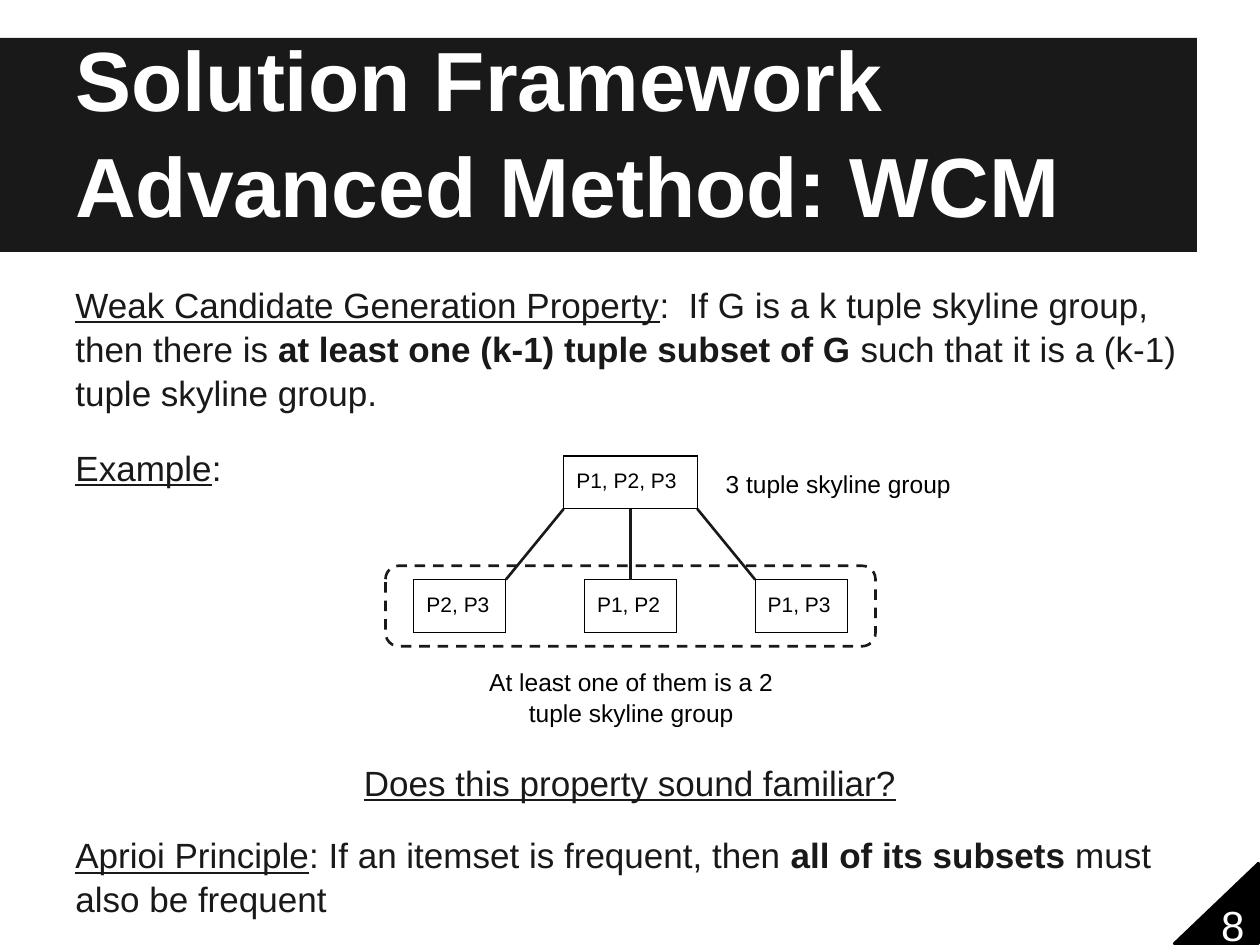
from pptx import Presentation
from pptx.dml.color import RGBColor
from pptx.enum.dml import MSO_LINE
from pptx.enum.shapes import MSO_CONNECTOR as Connector, MSO_SHAPE as Shape
from pptx.enum.text import MSO_ANCHOR as Anchor, PP_ALIGN as Align
from pptx.oxml import parse_xml
from pptx.oxml.ns import nsdecls
from pptx.util import Pt

FONT = "Arial"
DARK, BLACK, WHITE = "191919", "000000", "FFFFFF"
INSET = 7.2
UNDERLINE, BOLD = {"underline": True}, {"bold": True}


def color(value):
    return RGBColor.from_string(value)


def write_para(para, spans, size, ink, align=Align.LEFT):
    """Fill a paragraph from (text, format values) pairs."""
    para.alignment = align
    para.line_spacing = 1.05
    for text, formats in spans:
        span = para.add_run()
        span.text = text
        span.font.color.rgb = color(ink)
        for name, value in {"name": FONT, "size": Pt(size), **formats}.items():
            setattr(span.font, name, value)


def add_text(page, box, paras, size, ink=DARK, align=Align.LEFT, anchor=Anchor.MIDDLE):
    frame = page.shapes.add_textbox(*map(Pt, box)).text_frame
    frame.word_wrap = True
    frame.vertical_anchor = anchor
    for side in ("left", "top", "right", "bottom"):
        setattr(frame, f"margin_{side}", Pt(INSET))
    for index, spans in enumerate(paras):
        para = frame.add_paragraph() if index else frame.paragraphs[0]
        write_para(para, spans, size, ink, align)


def add_panel(page, kind, box, fill=None, line=None):
    panel = page.shapes.add_shape(kind, *map(Pt, box))
    panel.shadow.inherit = False
    if fill:
        panel.fill.solid()
        panel.fill.fore_color.rgb = color(fill)
    else:
        panel.fill.background()
    if line:
        panel.line.color.rgb = color(line)
        panel.line.width = Pt(1.5)
    else:
        panel.line.fill.background()
    return panel


def add_line(page, start, end):
    line = page.shapes.add_connector(Connector.STRAIGHT, *map(Pt, start + end))
    line.line.color.rgb = color(DARK)
    line.line.width = Pt(1.5)
    line._element.spPr.append(parse_xml(f"<a:effectLst {nsdecls('a')}/>"))


def add_group_cell(page, box, label):
    """Place a bordered one-cell table."""
    table = page.shapes.add_table(1, 1, *map(Pt, box)).table
    cell = table.cell(0, 0)
    for side in ("left", "top", "right", "bottom"):
        setattr(cell, f"margin_{side}", Pt(INSET))
    write_para(cell.text_frame.paragraphs[0], [(label, {"bold": False})], 12, BLACK)
    properties = cell._tc.get_or_add_tcPr()
    for edge in ("lnL", "lnR", "lnT", "lnB"):
        properties.append(parse_xml(
            f'<a:{edge} {nsdecls("a")} w="{Pt(0.75)}"><a:solidFill>'
            f'<a:srgbClr val="{BLACK}"/></a:solidFill></a:{edge}>'))
    cell.fill.solid()
    cell.fill.fore_color.rgb = color(WHITE)


def add_header(page, box):
    left, top, width, height = box
    add_panel(page, Shape.RECTANGLE, box, fill=DARK)
    lines = ("Solution Framework", "Advanced Method: WCM")
    add_text(page, (left + 36, top, width - 36, height - 2.9),
             [[(line, BOLD)] for line in lines], 48, WHITE, anchor=Anchor.BOTTOM)


def add_tree(page, box):
    """Draw the parent group, its three subsets and their captions."""
    left, top, width, height = box
    cell_height, child_width, step = 30.2, 52.6, 97.5
    parent_width = 76.3
    parent_left = left + (width - parent_width) / 2
    parent_bottom = top + cell_height
    child_top = top + 70.6
    first_child = left + (width - child_width) / 2 - step
    child_lefts = [first_child + step * index for index in range(3)]

    frame = add_panel(page, Shape.ROUNDED_RECTANGLE,
                      (left, child_top - 7.9, width, 46), line=DARK)
    frame.line.dash_style = MSO_LINE.DASH

    add_group_cell(page, (parent_left, top, parent_width, cell_height), "P1, P2, P3")
    for child_left, label in zip(child_lefts, ("P2, P3", "P1, P2", "P1, P3")):
        add_group_cell(page, (child_left, child_top, child_width, cell_height), label)

    # Lines run from the parent's left, middle and right to the facing child point.
    for index, child_left in enumerate(child_lefts):
        start = (parent_left + parent_width * index / 2, parent_bottom)
        end = (child_left + child_width * (2 - index) / 2, child_top)
        add_line(page, start, end)

    captions = (
        ((parent_left + 84.2, top + 4.3, 145.4, 22.3), "3 tuple skyline group"),
        ((left + 42.5, top + height - 35.3, 195.8, 35.3),
         "At least one of them is a 2 tuple skyline group"),
    )
    for caption_box, caption in captions:
        add_text(page, caption_box, [[(caption, {})]], 14, BLACK, Align.CENTER)


def add_page_number(page, box, number):
    left, top, width, height = box
    corner = add_panel(page, Shape.RIGHT_TRIANGLE, box, BLACK, BLACK)
    corner._element.spPr.xfrm.set("flipH", "1")
    add_text(page, (left + 9.4, top + 17.3, width, 34.6),
             [[(number, {})]], 24, WHITE, Align.CENTER)


def main():
    deck = Presentation()
    deck.slide_width, deck.slide_height = Pt(720), Pt(540)
    page = deck.slides.add_slide(deck.slide_layouts[6])

    add_header(page, (0, 21.6, 684, 122.4))
    add_text(page, (36, 153.4, 648, 74.2), [[
        ("Weak Candidate Generation Property", UNDERLINE),
        (":  If G is a k tuple skyline group, then there is ", {}),
        ("at least one (k-1) tuple subset of G", BOLD),
        (" such that it is a (k-1) tuple skyline group.", {}),
    ]], 20, anchor=Anchor.TOP)
    add_text(page, (36, 236.9, 113.8, 59), [[("Example", UNDERLINE), (":", {})]], 20)
    add_tree(page, (220.3, 260.6, 280, 154.8))
    add_text(page, (36, 416.9, 648, 59),
             [[("Does this property sound familiar?", UNDERLINE)]], 20, align=Align.CENTER)
    add_text(page, (36, 470.9, 648, 59), [[
        ("Aprioi Principle", UNDERLINE),
        (": If an itemset is frequent, then ", {}),
        ("all of its subsets", BOLD),
        (" must also be frequent", {}),
    ]], 20)
    add_page_number(page, (671, 493.2, 48.2, 46), "8")
    deck.save("out.pptx")


if __name__ == "__main__":
    main()
